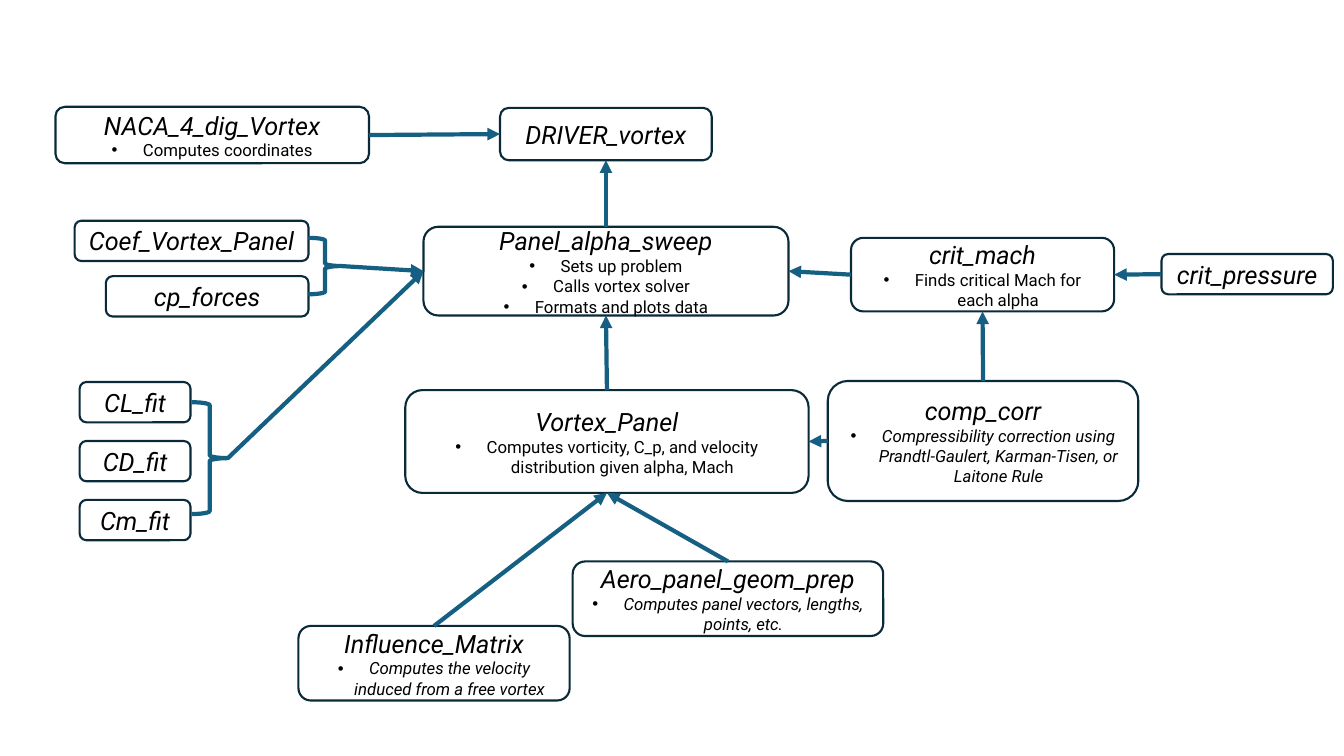
from dataclasses import dataclass

from lxml.etree import SubElement
from pptx import Presentation
from pptx.dml.color import RGBColor
from pptx.enum.shapes import MSO_CONNECTOR, MSO_SHAPE
from pptx.enum.text import MSO_ANCHOR, PP_ALIGN
from pptx.oxml.ns import qn
from pptx.util import Inches, Pt

TOP, LEFT, BOTTOM, RIGHT = range(4)  # connection sites of a rounded rectangle


@dataclass(frozen=True)
class Theme:
    font: str = "Roboto"
    text: RGBColor = RGBColor(0x00, 0x00, 0x00)
    fill: RGBColor = RGBColor(0xFF, 0xFF, 0xFF)
    outline: RGBColor = RGBColor(0x09, 0x2A, 0x39)
    flow: RGBColor = RGBColor(0x15, 0x60, 0x82)
    name_size: Pt = Pt(18)
    note_size: Pt = Pt(12)
    outline_width: Pt = Pt(1.5)
    flow_width: Pt = Pt(3)
    bullet_indent: Inches = Inches(0.31)


class CallGraph:
    def __init__(self, slide, theme):
        self.slide = slide
        self.theme = theme

    def box(self, left, top, width, height, name, notes=(), italic_notes=False):
        shape = self.slide.shapes.add_shape(
            MSO_SHAPE.ROUNDED_RECTANGLE,
            Inches(left), Inches(top), Inches(width), Inches(height))
        shape.shadow.inherit = False
        shape.fill.solid()
        shape.fill.fore_color.rgb = self.theme.fill
        shape.line.color.rgb = self.theme.outline
        shape.line.width = self.theme.outline_width

        text_frame = shape.text_frame
        text_frame.word_wrap = True
        text_frame.vertical_anchor = MSO_ANCHOR.MIDDLE
        text_frame.text = "\n".join([name, *notes])
        title, *note_paragraphs = text_frame.paragraphs
        self.format(title, self.theme.name_size, True)
        for paragraph in note_paragraphs:
            self.format(paragraph, self.theme.note_size, italic_notes)
            self.bullet(paragraph)
        return shape

    def format(self, paragraph, size, italic):
        paragraph.alignment = PP_ALIGN.CENTER
        for run in paragraph.runs:
            run.font.name = self.theme.font
            run.font.size = size
            run.font.italic = italic
            run.font.color.rgb = self.theme.text

    def bullet(self, paragraph):
        properties = paragraph._p.get_or_add_pPr()
        properties.set("marL", str(self.theme.bullet_indent))
        properties.set("indent", str(-self.theme.bullet_indent))
        SubElement(properties, qn("a:buFont")).set("typeface", "Arial")
        SubElement(properties, qn("a:buChar")).set("char", "•")

    def brace(self, left, top, width, height):
        shape = self.slide.shapes.add_shape(
            MSO_SHAPE.RIGHT_BRACE,
            Inches(left), Inches(top), Inches(width), Inches(height))
        shape.shadow.inherit = False
        shape.fill.background()
        shape.line.color.rgb = self.theme.flow
        shape.line.width = self.theme.flow_width
        return shape

    def arrow(self, source, source_site, target, target_site):
        """Link two boxes, or the tip of a brace (source_site None) to a box."""
        tip_x = source.left + source.width
        tip_y = source.top + source.height // 2
        connector = self.slide.shapes.add_connector(
            MSO_CONNECTOR.STRAIGHT, tip_x, tip_y, tip_x, tip_y)
        if source_site is not None:
            connector.begin_connect(source, source_site)
        connector.end_connect(target, target_site)
        connector.line.color.rgb = self.theme.flow
        connector.line.width = self.theme.flow_width
        SubElement(connector.line._get_or_add_ln(), qn("a:tailEnd")).set("type", "triangle")
        SubElement(connector._element.spPr, qn("a:effectLst"))


def main():
    presentation = Presentation()
    presentation.slide_width = Inches(13.33)
    presentation.slide_height = Inches(7.5)
    slide = presentation.slides.add_slide(presentation.slide_layouts[6])
    graph = CallGraph(slide, Theme())

    driver = graph.box(4.96, 1.07, 2.1, 0.52, "DRIVER_vortex")
    sweep = graph.box(4.2, 2.25, 3.62, 0.88, "Panel_alpha_sweep", [
        "Sets up problem", "Calls vortex solver", "Formats and plots data"])
    naca = graph.box(0.55, 1.06, 3.11, 0.56, "NACA_4_dig_Vortex", ["Computes coordinates"])
    vortex_panel = graph.box(4.02, 3.87, 4, 1.02, "Vortex_Panel", [
        "Computes vorticity, C_p, and velocity distribution given alpha, Mach"])
    geometry = graph.box(5.68, 5.57, 3.08, 0.74, "Aero_panel_geom_prep", [
        "Computes panel vectors, lengths, points, etc."], italic_notes=True)
    influence = graph.box(2.96, 6.21, 2.69, 0.74, "Influence_Matrix", [
        "Computes the velocity induced from a free vortex"], italic_notes=True)
    correction = graph.box(8.21, 3.78, 3.08, 1.19, "comp_corr", [
        "Compressibility correction using Prandtl-Gaulert, Karman-Tisen, or Laitone Rule"],
        italic_notes=True)
    crit_mach = graph.box(8.44, 2.36, 2.61, 0.73, "crit_mach", [
        "Finds critical Mach for each alpha"])
    crit_pressure = graph.box(11.52, 2.52, 1.7, 0.4, "crit_pressure")

    graph.box(0.74, 2.19, 2.32, 0.4, "Coef_Vortex_Panel")
    graph.box(1.05, 2.74, 2.01, 0.4, "cp_forces")
    for row, name in enumerate(["CL_fit", "CD_fit", "Cm_fit"]):
        graph.box(0.79, 3.79 + row * 0.585, 1.1, 0.4, name)
    fit_brace = graph.brace(1.9, 3.99, 0.36, 1.11)
    force_brace = graph.brace(3.06, 2.36, 0.33, 0.56)

    for link in [
        (naca, RIGHT, driver, LEFT),
        (sweep, TOP, driver, BOTTOM),
        (vortex_panel, TOP, sweep, BOTTOM),
        (crit_mach, LEFT, sweep, RIGHT),
        (correction, TOP, crit_mach, BOTTOM),
        (geometry, TOP, vortex_panel, BOTTOM),
        (correction, LEFT, vortex_panel, RIGHT),
        (influence, TOP, vortex_panel, BOTTOM),
        (crit_pressure, LEFT, crit_mach, RIGHT),
        (force_brace, None, sweep, LEFT),
        (fit_brace, None, sweep, LEFT),
    ]:
        graph.arrow(*link)

    presentation.save("out.pptx")


if __name__ == "__main__":
    main()
